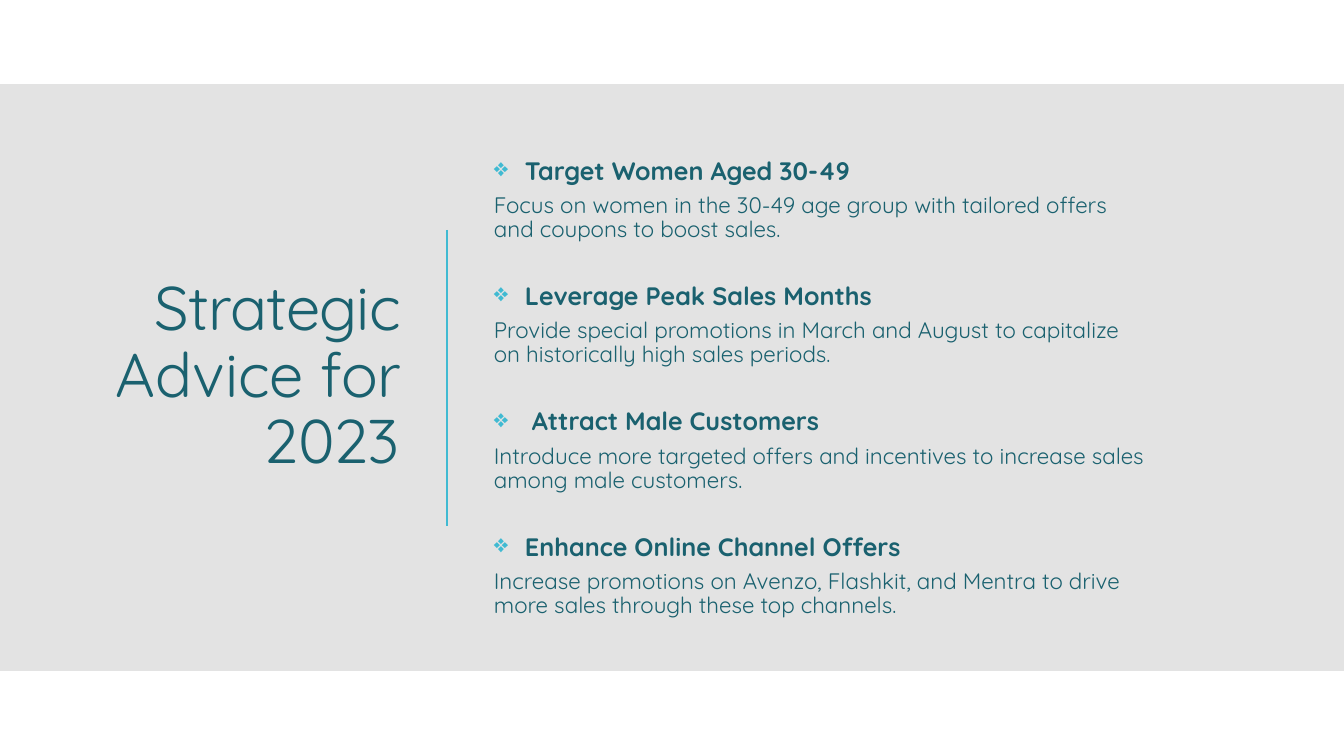
"""Builds the slide with strategic advice for 2023."""
from lxml import etree
from pptx import Presentation
from pptx.dml.color import RGBColor
from pptx.enum.shapes import MSO_CONNECTOR, MSO_SHAPE
from pptx.enum.text import MSO_ANCHOR, PP_ALIGN
from pptx.oxml.ns import qn
from pptx.util import Pt

RECT = MSO_SHAPE.RECTANGLE
STRAIGHT = MSO_CONNECTOR.STRAIGHT
MIDDLE = MSO_ANCHOR.MIDDLE
LEFT, RIGHT = PP_ALIGN.LEFT, PP_ALIGN.RIGHT

EMU_PER_PX = 12192000 / 1344
COLORS = {"band": "E3E3E3", "accent": "40BAD2", "text": "1A616F"}
FONT = "Quicksand"
INDENT = 31
ADVICE = [
    ("Target Women Aged 30-49",
     "Focus on women in the 30-49 age group with tailored offers and coupons to boost sales."),
    ("Leverage Peak Sales Months",
     "Provide special promotions in March and August to capitalize on historically high sales periods."),
    (" Attract Male Customers",
     "Introduce more targeted offers and incentives to increase sales among male customers."),
    ("Enhance Online Channel Offers",
     "Increase promotions on Avenzo, Flashkit, and Mentra to drive more sales through these top channels."),
]


def px(*values):
    return [round(v * EMU_PER_PX) for v in values]


def add_text(p, text, size, bold=False, align=LEFT):
    p.alignment = align
    p.line_spacing = 0.9
    p.space_after = Pt(6)
    r = p.add_run()
    r.text = text
    r.font.name = FONT
    r.font.size = Pt(size)
    r.font.bold = bold
    r.font.color.rgb = RGBColor.from_string(COLORS["text"])
    return r


prs = Presentation()
prs.slide_width, prs.slide_height = px(1344, 756)
s = prs.slides.add_slide(prs.slide_layouts[6])

band = s.shapes.add_shape(RECT, *px(0, 84, 1344, 587))
band.shadow.inherit = False
band.fill.solid()
band.fill.fore_color.rgb = RGBColor.from_string(COLORS["band"])
band.line.fill.background()

tf = s.shapes.add_textbox(*px(0, 124, 410, 507)).text_frame
tf.word_wrap = True
tf.vertical_anchor = MIDDLE
p = tf.paragraphs[0]
for text, spacing in (("Strategic ", -60), ("Advice", 0), (" for 2023", -60)):
    r = add_text(p, text, 44, align=RIGHT)
    r.font._element.set("spc", str(spacing))

divider = s.shapes.add_connector(STRAIGHT, *px(447, 230, 447, 526))
divider.line.color.rgb = RGBColor.from_string(COLORS["accent"])
divider.line.width = Pt(1)
etree.SubElement(divider._element.spPr, qn("a:effectLst"))

tf = s.shapes.add_textbox(*px(484, 124, 677, 529)).text_frame
tf.word_wrap = True
tf.vertical_anchor = MIDDLE
for i, (heading, detail) in enumerate(ADVICE):
    p = tf.add_paragraph() if i else tf.paragraphs[0]
    add_text(p, heading, 18, bold=True)
    if i:
        p.space_before = Pt(23.5)
    pPr = p._p.get_or_add_pPr()
    indent = px(INDENT)[0]
    pPr.set("marL", str(indent))
    pPr.set("indent", str(-indent))
    color = etree.SubElement(pPr, qn("a:buClr"))
    etree.SubElement(color, qn("a:srgbClr"), val=COLORS["accent"])
    etree.SubElement(pPr, qn("a:buChar"), char="❖")
    add_text(tf.add_paragraph(), detail, 16)

prs.save("out.pptx")
